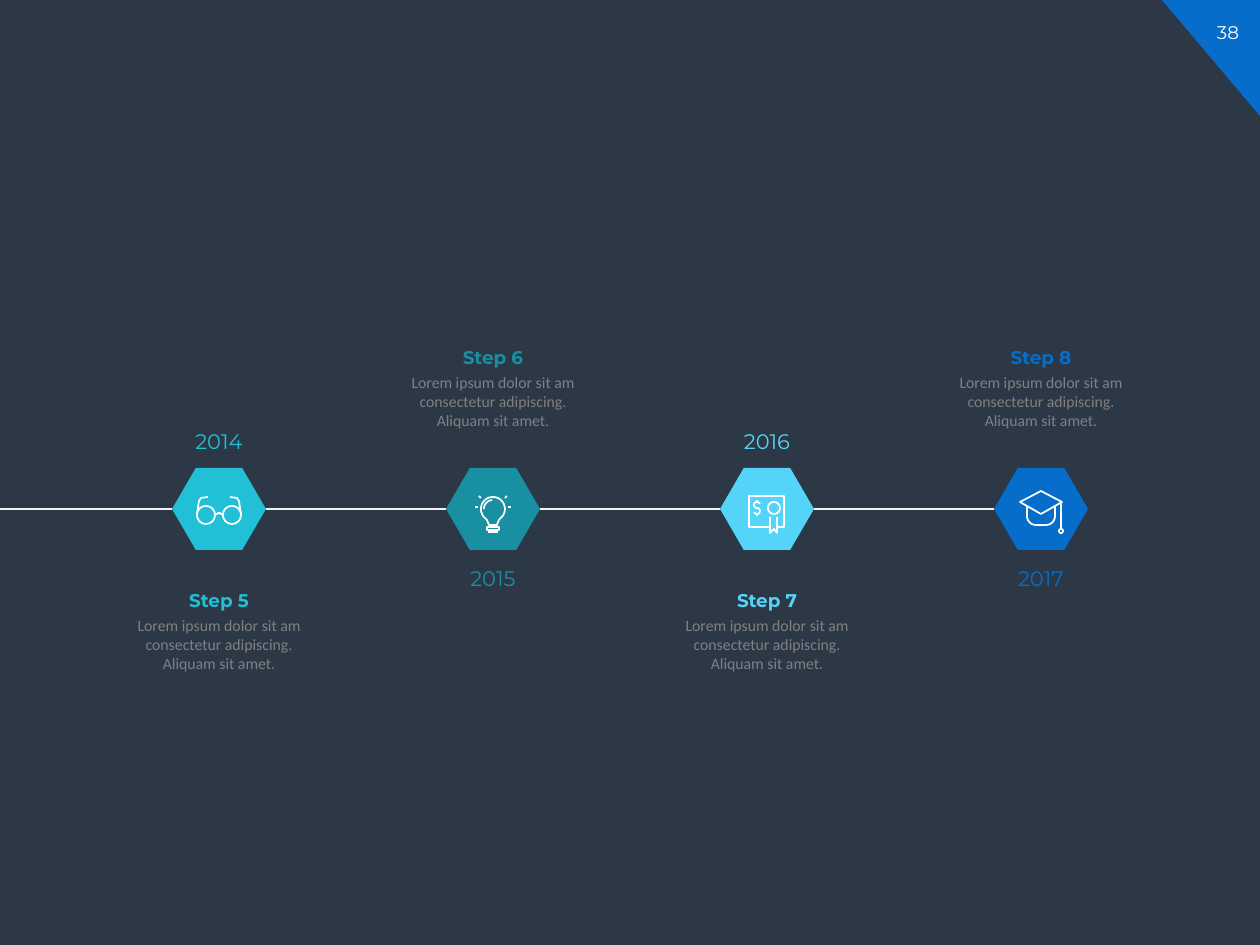
from math import cos, radians, sin

from lxml.etree import SubElement
from pptx import Presentation
from pptx.dml.color import RGBColor
from pptx.enum.shapes import MSO_CONNECTOR, MSO_SHAPE
from pptx.enum.text import MSO_AUTO_SIZE, PP_ALIGN
from pptx.oxml.ns import qn
from pptx.util import Pt

SCALE = 914400 / 126  # EMU in one px
WIDTH, HEIGHT = 1260, 945

NAVY = RGBColor(0x2D, 0x38, 0x47)
BLUE = RGBColor(0x06, 0x6D, 0xCA)
CYAN = RGBColor(0x21, 0xC0, 0xD7)
TEAL = RGBColor(0x19, 0x90, 0xA1)
SKY = RGBColor(0x55, 0xD4, 0xFA)
GREY = RGBColor(0x80, 0x80, 0x80)
PALE = RGBColor(0xF2, 0xF2, 0xF2)
WHITE = RGBColor(0xFF, 0xFF, 0xFF)

# Timeline grid
FIRST, PITCH, AXIS = 219, 274, 509
HEX_W, HEX_H = 94, 82
BODY = "Lorem ipsum dolor sit am consectetur adipiscing. Aliquam sit amet."


def px(num):
    return round(num * SCALE)


def arc(x, y, r, start, end):
    """Points along an arc, in degrees clockwise from the right."""
    count = max(6, abs(end - start) // 10)
    turns = [radians(start + (end - start) * i / count) for i in range(count + 1)]
    return [(x + r * cos(t), y + r * sin(t)) for t in turns]


def ring(x, y, r):
    return arc(x, y, r, 0, 360)


# Icon strokes, in px from the centre of the hexagon
GLASSES = [
    ring(-13, 6, 9), ring(13, 6, 9),
    [(-4, 5), *arc(0, 6, 2, 210, 330), (4, 5)],
    [(-22, 5), (-20, -8), (-18, -11), (-11, -12)],
    [(22, 5), (20, -8), (18, -11), (11, -12)],
]
BULB = [
    [*arc(0, 0, 12, 145, 395), (6, 11), (4, 16), (-4, 16), (-6, 11), (-10, 7)],
    [(-6, 18), (6, 18), (6, 21), (-6, 21), (-6, 18)],
    [(-5, 23), (5, 23)],
    arc(0, 0, 9, 180, 265),
    [(-18, -2), (-15, -2)], [(15, -2), (18, -2)],
    [(-14, -13), (-12, -11)], [(14, -13), (12, -11)],
]
AWARD = [
    [(3, 18), (-18, 18), (-18, -13), (17, -13), (17, 18), (11, 18)],
    [(3, 8), (3, 24), (7, 20), (10, 24), (10, 8)],
    ring(7, -1, 6),
    [*arc(-10, -4, 3, -20, -270), *arc(-10, 2, 3, -90, 160)],
    [(-10, -9), (-10, -7)], [(-10, 5), (-10, 7)],
]
CAP = [
    [(-21, -7), (0, -18), (21, -7), (0, 5), (-21, -7)],
    [(-14, -3), *arc(-5, 7, 9, 180, 90), *arc(5, 7, 9, 90, 0), (14, -3)],
    [(20, -6), (20, 20)],
    ring(20, 22, 2),
]

STEPS = [
    ("Step 5", "2014", CYAN, GLASSES),
    ("Step 6", "2015", TEAL, BULB),
    ("Step 7", "2016", SKY, AWARD),
    ("Step 8", "2017", BLUE, CAP),
]


def add_solid(slide, kind, left, top, width, height, color):
    shape = slide.shapes.add_shape(kind, px(left), px(top), px(width), px(height))
    shape.shadow.inherit = False
    shape.fill.solid()
    shape.fill.fore_color.rgb = color
    shape.line.fill.background()
    return shape


def add_text(slide, text, mid, top, width, height, size, color,
             face="Montserrat", bold=False, wrap=False):
    box = slide.shapes.add_textbox(px(mid - width / 2), px(top), px(width), px(height))
    frame = box.text_frame
    frame.text = text
    frame.word_wrap = wrap
    frame.auto_size = MSO_AUTO_SIZE.SHAPE_TO_FIT_TEXT
    para = frame.paragraphs[0]
    para.alignment = PP_ALIGN.CENTER
    font = para.runs[0].font
    font.name, font.size, font.bold = face, Pt(size), bold
    font.color.rgb = color


def add_line(slide, start, end):
    line = slide.shapes.add_connector(
        MSO_CONNECTOR.STRAIGHT, px(start), px(AXIS), px(end), px(AXIS))
    line.line.color.rgb = PALE
    line.line.width = Pt(1)
    SubElement(line._element.spPr, qn("a:effectLst"))


def add_icon(slide, mid, strokes):
    paths = [[(px(mid + x), px(AXIS + y)) for x, y in pts] for pts in strokes]
    build = slide.shapes.build_freeform(*paths[0][0])
    for i, pts in enumerate(paths):
        if i:
            build.move_to(*pts[0])
        build.add_line_segments(pts[1:], close=pts[0] == pts[-1])
    icon = build.convert_to_shape()
    icon.shadow.inherit = False
    icon.fill.background()
    icon.line.color.rgb = WHITE
    icon.line.width = Pt(1)


def add_step(slide, mid, above, name, year, color, icon):
    left = mid - HEX_W / 2
    hexa = add_solid(slide, MSO_SHAPE.HEXAGON, left, AXIS - HEX_H / 2,
                     HEX_W, HEX_H, color)
    hexa.adjustments[0] = 0.29
    add_icon(slide, mid, icon)
    top = 340 if above else 583
    add_text(slide, name, mid, top, 87, 35, 10.5, color, bold=True)
    add_text(slide, BODY, mid, top + 27, 189, 89, 9, GREY, "Calibri", wrap=True)
    add_text(slide, year, mid, 559 if above else 422, 78, 38, 12, color)


def main():
    deck = Presentation()
    deck.slide_width, deck.slide_height = px(WIDTH), px(HEIGHT)
    slide = deck.slides.add_slide(deck.slide_layouts[6])
    slide.background.fill.solid()
    slide.background.fill.fore_color.rgb = NAVY

    # Page number corner
    corner = add_solid(slide, MSO_SHAPE.RIGHT_TRIANGLE, WIDTH - 98, 0, 98, 116, BLUE)
    corner.rotation = 180
    add_text(slide, "38", 1228, 15, 64, 35, 10.5, WHITE, wrap=True)

    # Timeline
    start = 0
    for i, (name, year, color, icon) in enumerate(STEPS):
        mid = FIRST + i * PITCH
        add_line(slide, start, mid - HEX_W / 2)
        add_step(slide, mid, i % 2 == 1, name, year, color, icon)
        start = mid + HEX_W / 2

    deck.save("out.pptx")


if __name__ == "__main__":
    main()
